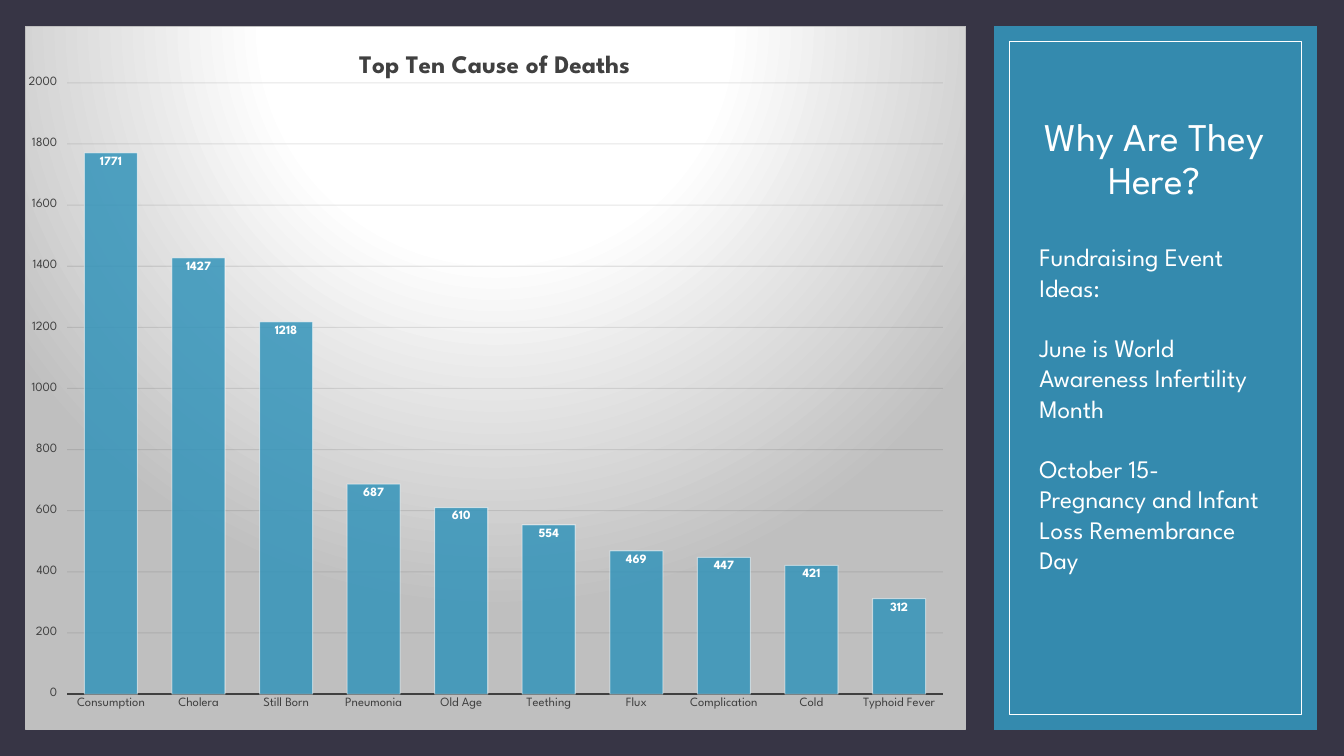
import pptx
import pptx.chart.data
import pptx.dml.color
import pptx.enum.chart
import pptx.enum.shapes
import pptx.enum.text
import pptx.oxml
import pptx.oxml.ns
import pptx.util

RGBColor = pptx.dml.color.RGBColor
Pt = pptx.util.Pt
qn = pptx.oxml.ns.qn

FONT = "League Spartan"
NIGHT = RGBColor(0x37, 0x35, 0x45)
BLUE = RGBColor(0x34, 0x94, 0xBA)
WHITE = RGBColor(0xFF, 0xFF, 0xFF)
SILVER = RGBColor(0xBF, 0xBF, 0xBF)
DARK = RGBColor(0x40, 0x40, 0x40)
GRID = RGBColor(0x0D, 0x0D, 0x0D)

W, H = pptx.util.Inches(13.33), pptx.util.Inches(7.5)

# Left, top, width and height in percent of the slide
TOP, FULL = 3.47, 93.07
CHART_BOX = (1.88, TOP, 69.99, FULL)
PANEL_BOX = (73.97, TOP, 24.01, FULL)
FRAME_BOX = (75.09, 5.47, 21.76, 89.07)
TITLE_BOX = (75.92, TOP, 19.95, 24)
NOTES_BOX = (76.59, 31.33, 18.68, 49.87)

DEATHS = {
    "Consumption": 1771, "Cholera": 1427, "Still Born": 1218,
    "Pneumonia": 687, "Old Age": 610, "Teething": 554, "Flux": 469,
    "Complication": 447, "Cold": 421, "Typhoid Fever": 312,
}
NOTES = [
    "Fundraising Event Ideas:",
    "June is World Awareness Infertility Month",
    "October 15- Pregnancy and Infant Loss Remembrance Day",
]


def place(box):
    return [int(share * side / 100) for share, side in zip(box, (W, H, W, H))]


def xml(text):
    decls = pptx.oxml.ns.nsdecls("a", "c")
    return pptx.oxml.parse_xml(text.replace(">", f" {decls}>", 1))


def set_alpha(element, percent):
    for color in element.iter(qn("a:srgbClr")):
        alpha = color.makeelement(qn("a:alpha"), {"val": str(percent * 1000)})
        color.append(alpha)


def set_font(font, size, color, bold=False):
    font.name, font.size, font.bold = FONT, Pt(size), bold
    font.color.rgb = color


def set_line(line, color, width):
    line.color.rgb = color
    line.width = Pt(width)


def add_rect(s, box, fill=None, line=None):
    sp = s.shapes.add_shape(pptx.enum.shapes.MSO_SHAPE.RECTANGLE, *place(box))
    sp.shadow.inherit = False
    if fill is None:
        sp.fill.background()
    else:
        sp.fill.solid()
        sp.fill.fore_color.rgb = fill
    if line is None:
        sp.line.fill.background()
    else:
        set_line(sp.line, line, 0.5)
    return sp


def add_text(s, box, lines, size, gap=0):
    tf = s.shapes.add_textbox(*place(box)).text_frame
    tf.word_wrap = True
    for i, line in enumerate(lines):
        p = tf.add_paragraph() if i else tf.paragraphs[0]
        p.text = line
        if i:
            p.space_before = Pt(gap)
        for r in p.runs:
            set_font(r.font, size, WHITE)
    return tf


def set_layout(parent, values, inner=False):
    for old in parent.findall(qn("c:layout")):
        parent.remove(old)
    target = '<c:layoutTarget val="inner"/>' if inner else ""
    names = "xywh"[:len(values)]
    modes = "".join(f'<c:{n}Mode val="edge"/>' for n in names[:2])
    sizes = "".join(f'<c:{n} val="{v}"/>' for n, v in zip(names, values))
    layout = xml(f"<c:layout><c:manualLayout>{target}{modes}{sizes}"
                 "</c:manualLayout></c:layout>")
    before = parent.find(qn("c:tx"))
    if before is None:
        parent.insert(0, layout)
    else:
        before.addnext(layout)


def fill_chart_area(chart):
    stops = "".join(
        f'<a:gs pos="{pos * 1000}"><a:srgbClr val="{color}"/></a:gs>'
        for pos, color in ((0, WHITE), (39, WHITE), (100, SILVER)))
    area = xml(
        f"<c:spPr><a:gradFill><a:gsLst>{stops}</a:gsLst>"
        '<a:path path="circle"><a:fillToRect l="50000" t="-80000" r="50000" '
        'b="180000"/></a:path></a:gradFill><a:ln w="9525"><a:solidFill>'
        f'<a:srgbClr val="{SILVER}"/></a:solidFill></a:ln></c:spPr>')
    chart.element.find(qn("c:chart")).addnext(area)


def format_axes(chart):
    ticks = pptx.enum.chart.XL_TICK_MARK
    cat, val = chart.category_axis, chart.value_axis
    for axis in (cat, val):
        set_font(axis.tick_labels.font, 9, DARK)
    cat.major_tick_mark = ticks.NONE
    set_line(cat.format.line, DARK, 1.5)
    val.minimum_scale, val.maximum_scale, val.major_unit = 0, 2000, 200
    val.major_tick_mark = ticks.OUTSIDE
    val.format.line.fill.background()
    set_line(val.major_gridlines.format.line, GRID, 0.75)
    for gridlines in chart.element.iter(qn("c:majorGridlines")):
        set_alpha(gridlines, 10)


def format_bars(chart):
    plot = chart.plots[0]
    plot.gap_width = 65
    plot.vary_by_categories = False
    series = plot.series[0]
    series.format.fill.solid()
    series.format.fill.fore_color.rgb = BLUE
    set_line(series.format.line, WHITE, 0.75)
    for ser in chart.element.iter(qn("c:ser")):
        bar = ser.find(qn("c:spPr"))
        set_alpha(bar.find(qn("a:solidFill")), 85)
        set_alpha(bar.find(qn("a:ln")), 50)
    labels = series.data_labels
    labels.show_value = True
    labels.position = pptx.enum.chart.XL_LABEL_POSITION.INSIDE_END
    set_font(labels.font, 9, WHITE, bold=True)


def add_deaths_chart(s, box):
    data = pptx.chart.data.CategoryChartData()
    data.categories = list(DEATHS)
    data.add_series("Series 1", list(DEATHS.values()))
    kind = pptx.enum.chart.XL_CHART_TYPE.COLUMN_CLUSTERED
    chart = s.shapes.add_chart(kind, *place(box), data).chart
    set_font(chart.font, 10, WHITE)
    chart.has_legend = False
    chart.has_title = True
    p = chart.chart_title.text_frame.paragraphs[0]
    p.text = "Top Ten Cause of Deaths"
    set_font(p.runs[0].font, 18, DARK, bold=True)
    root = chart.element.find(qn("c:chart"))
    set_layout(root.find(qn("c:title")), (0.35, 0.03))
    set_layout(root.find(qn("c:plotArea")), (0.044, 0.08, 0.932, 0.87), True)
    fill_chart_area(chart)
    format_axes(chart)
    format_bars(chart)


def main():
    prs = pptx.Presentation()
    prs.slide_width, prs.slide_height = W, H
    s = prs.slides.add_slide(prs.slide_layouts[6])
    s.background.fill.solid()
    s.background.fill.fore_color.rgb = NIGHT

    # Side panel with its thin frame
    panel = add_rect(s, PANEL_BOX, fill=BLUE)
    set_alpha(panel.element.spPr, 90)
    add_rect(s, FRAME_BOX, line=WHITE)

    # Panel heading
    tf = add_text(s, TITLE_BOX, ["Why Are They Here?"], 28)
    tf.vertical_anchor = pptx.enum.text.MSO_ANCHOR.BOTTOM
    tf.paragraphs[0].alignment = pptx.enum.text.PP_ALIGN.CENTER
    tf.paragraphs[0].line_spacing = 0.9

    # Chart and event ideas
    add_deaths_chart(s, CHART_BOX)
    add_text(s, NOTES_BOX, NOTES, 18, gap=21.6)

    prs.save("out.pptx")


if __name__ == "__main__":
    main()
